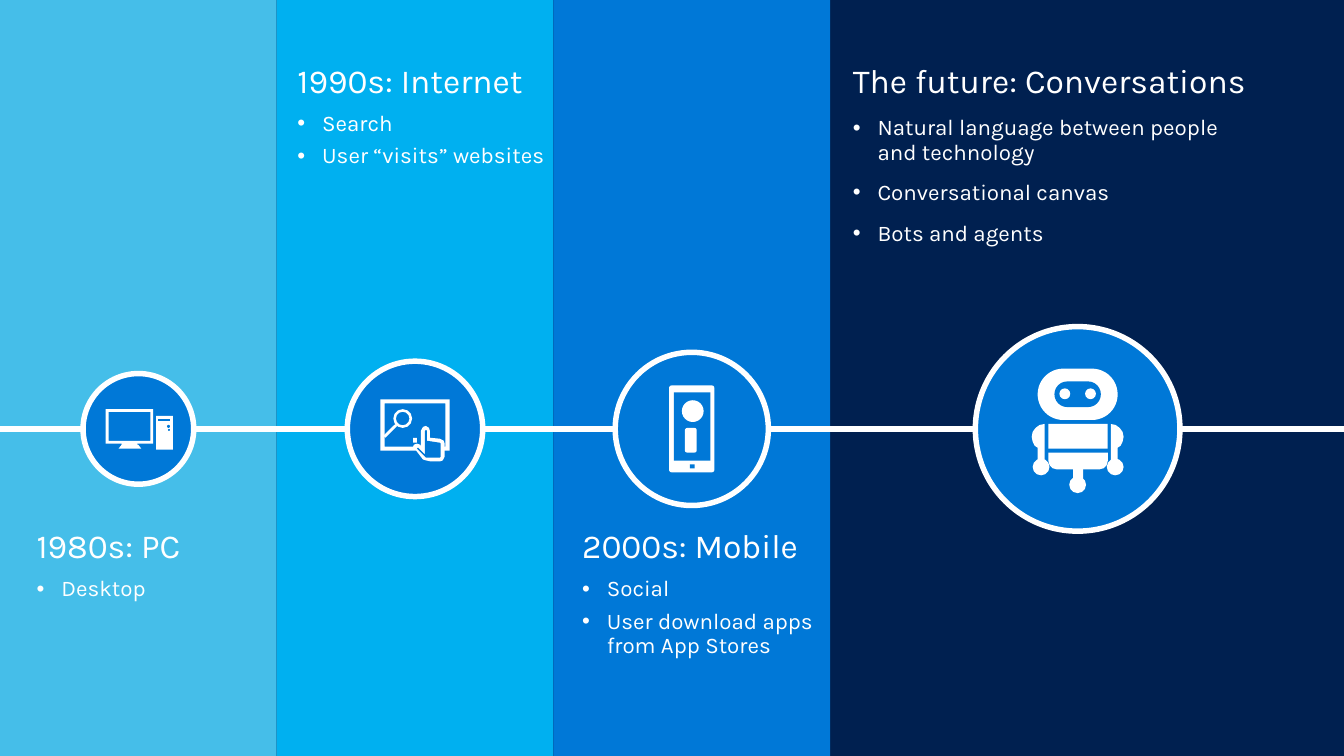
from lxml import etree
from pptx import Presentation
from pptx.dml.color import RGBColor
from pptx.enum.shapes import MSO_CONNECTOR, MSO_SHAPE
from pptx.enum.text import MSO_ANCHOR, MSO_AUTO_SIZE, PP_ALIGN
from pptx.oxml.ns import qn
from pptx.util import Inches, Pt

RECTANGLE, ELLIPSE = MSO_SHAPE.RECTANGLE, MSO_SHAPE.OVAL
ROUNDED, FRAME = MSO_SHAPE.ROUNDED_RECTANGLE, MSO_SHAPE.FRAME
ROUNDED_ENDS, RING = MSO_SHAPE.ROUND_2_SAME_RECTANGLE, MSO_SHAPE.DONUT
TRAPEZOID = MSO_SHAPE.TRAPEZOID
STRAIGHT = MSO_CONNECTOR.STRAIGHT
TOP, NO_AUTOFIT, LEFT = MSO_ANCHOR.TOP, MSO_AUTO_SIZE.NONE, PP_ALIGN.LEFT

THEME = {
    "font": "Karla", "heading": 24.5, "bullet": 16.3, "line": 4,
    "navy": "002050", "blue": "0078D7", "cyan": "00B0F0", "sky": "45BEE9", "white": "FFFFFF",
}
WIDTH, HEIGHT = 13.6, 7.65
PANEL_WIDTH, TIMELINE_Y = 2.8, 4.34
PANEL_COLORS = ["sky", "cyan", "blue"]
COMPARISON_LAYOUT = 4

# Text: placeholder index, box, left and top inset, heading, bullets, (space before, space after)
TITLE = "The future: Conversations"
TEXTS = [
    (0, (8.43, 0.55, 4.77, 0.6), (0.2, 0.1), TITLE, [], (0, 0)),
    (1, (0.25, 5.36, 2.55, 1.6), (0.12, 0), "1980s: PC", ["Desktop"], (0, 6)),
    (2, (2.8, 0.55, 2.76, 3.26), (0.21, 0.1), "1990s: Internet",
     ["Search", "User “visits” websites"], (0, 6)),
    (3, (5.6, 5.36, 2.8, 1.8), (0.29, 0), "2000s: Mobile",
     ["Social", "User download apps from App Stores"], (0, 6)),
    (4, (8.43, 1.18, 4.77, 1.5), (0.2, 0), None,
     ["Natural language between people\vand technology", "Conversational canvas",
      "Bots and agents"], (12, 0)),
]

# Outlines used in the icons
HAND = [(4.18, 4.52), (4.19, 4.5), (4.22, 4.49), (4.25, 4.5), (4.26, 4.52), (4.26, 4.36),
        (4.28, 4.32), (4.31, 4.31), (4.34, 4.33), (4.35, 4.36), (4.35, 4.43), (4.45, 4.44),
        (4.49, 4.46), (4.5, 4.49), (4.5, 4.62), (4.48, 4.66), (4.45, 4.67), (4.36, 4.67),
        (4.31, 4.66), (4.28, 4.65)]
PALM = [(4.3, 4.6), (4.3, 4.36), (4.31, 4.35), (4.32, 4.36), (4.32, 4.46), (4.45, 4.48),
        (4.46, 4.49), (4.46, 4.62), (4.45, 4.63), (4.31, 4.63), (4.22, 4.54), (4.23, 4.53)]
LEFT_ARM = [(10.57, 4.29), (10.52, 4.3), (10.48, 4.33), (10.45, 4.37), (10.44, 4.42),
            (10.45, 4.47), (10.47, 4.51), (10.5, 4.53), (10.5, 4.68), (10.57, 4.68)]
ROBOT_CENTER = 10.905
RIGHT_ARM = [(2 * ROBOT_CENTER - x, y) for x, y in LEFT_ARM]

# Icons: circle center and diameter, then parts as (kind, color, geometry, adjustments)
ICONS = [
    (1.4, 1.12, [
        (FRAME, "white", (1.07, 4.14, 0.48, 0.35), [0.08]),
        (RECTANGLE, "white", (1.23, 4.48, 0.16, 0.03), []),
        (TRAPEZOID, "white", (1.2, 4.5, 0.23, 0.04), [0.8]),
        (RECTANGLE, "white", (1.58, 4.21, 0.17, 0.34), []),
        (RECTANGLE, "blue", (1.6, 4.24, 0.12, 0.02), []),
        (ELLIPSE, "blue", (1.69, 4.3, 0.03, 0.03), []),
        (ELLIPSE, "blue", (1.7, 4.34, 0.02, 0.02), []),
    ]),
    (4.2, 1.37, [
        (FRAME, "white", (3.85, 4.04, 0.7, 0.52), [0.08]),
        (RING, "white", (3.98, 4.14, 0.19, 0.19), [0.14]),
        ("line", "white", (4.01, 4.3, 3.89, 4.42), []),
        (RECTANGLE, "white", (4.18, 4.43, 0.04, 0.05), []),
        ("outline", "white", HAND, []),
        ("outline", "blue", PALM, []),
    ]),
    (7, 1.55, [
        (ROUNDED, "white", (6.77, 3.9, 0.46, 0.88), [0.06]),
        (RECTANGLE, "blue", (6.82, 3.97, 0.37, 0.69), []),
        (ELLIPSE, "white", (6.9, 4.05, 0.22, 0.22), []),
        (ROUNDED, "white", (6.93, 4.33, 0.12, 0.25), [0.2]),
        (RECTANGLE, "blue", (6.98, 4.7, 0.05, 0.04), []),
    ]),
    (ROBOT_CENTER, 2.07, [
        (ROUNDED, "white", (10.5, 3.73, 0.81, 0.52), [0.5]),
        (ROUNDED, "blue", (10.67, 3.86, 0.47, 0.26), [0.5]),
        (ELLIPSE, "white", (10.72, 3.93, 0.11, 0.11), []),
        (ELLIPSE, "white", (10.98, 3.93, 0.11, 0.11), []),
        (RECTANGLE, "white", (10.61, 4.29, 0.6, 0.25), []),
        (ROUNDED_ENDS, "white", (10.61, 4.58, 0.6, 0.17), [0, 0.5]),
        (RECTANGLE, "white", (10.86, 4.74, 0.1, 0.12), []),
        (ELLIPSE, "white", (10.82, 4.82, 0.17, 0.17), []),
        ("outline", "white", LEFT_ARM, []),
        ("outline", "white", RIGHT_ARM, []),
        (ELLIPSE, "white", (10.45, 4.64, 0.17, 0.17), []),
        (ELLIPSE, "white", (11.2, 4.64, 0.17, 0.17), []),
    ]),
]


def color(name):
    return RGBColor.from_string(THEME[name])


def paint(shape, fill, line=None):
    shape.shadow.inherit = False
    shape.fill.solid()
    shape.fill.fore_color.rgb = color(fill)
    if line:
        shape.line.color.rgb = color(line)
        shape.line.width = Pt(THEME["line"])
    else:
        shape.line.fill.background()


def add_preset(shapes, kind, fill, box, adjustments=(), line=None):
    shape = shapes.add_shape(kind, *map(Inches, box))
    for index, value in enumerate(adjustments):
        shape.adjustments[index] = value
    paint(shape, fill, line)


def add_outline(shapes, fill, points):
    corners = [(Inches(x), Inches(y)) for x, y in points]
    builder = shapes.build_freeform(*corners[0])
    builder.add_line_segments(corners[1:], close=True)
    paint(builder.convert_to_shape(), fill)


def add_line(shapes, name, ends, width):
    connector = shapes.add_connector(STRAIGHT, *map(Inches, ends))
    connector.line.color.rgb = color(name)
    connector.line.width = Pt(width)
    etree.SubElement(connector.element.spPr, qn("a:effectLst"))


def add_icon(slide, center, diameter, parts):
    shapes = slide.shapes.add_group_shape().shapes
    circle = (center - diameter / 2, TIMELINE_Y - diameter / 2, diameter, diameter)
    add_preset(shapes, ELLIPSE, "blue", circle, line="white")
    for kind, name, geometry, adjustments in parts:
        if kind == "outline":
            add_outline(shapes, name, geometry)
        elif kind == "line":
            add_line(shapes, name, geometry, 2)
        else:
            add_preset(shapes, kind, name, geometry, adjustments)


def format_paragraph(paragraph, size, before, after, bulleted):
    paragraph.level = 1 if bulleted else 0
    properties = paragraph._p.get_or_add_pPr()
    properties.set("marL", str(Inches(0.25 if bulleted else 0)))
    properties.set("indent", str(Inches(-0.25 if bulleted else 0)))
    if bulleted:
        etree.SubElement(properties, qn("a:buChar")).set("char", "•")
    else:
        etree.SubElement(properties, qn("a:buNone"))
    paragraph.alignment = LEFT
    paragraph.line_spacing = 0.9
    paragraph.space_before, paragraph.space_after = Pt(before), Pt(after)
    for run in paragraph.runs:
        run.font.name, run.font.size, run.font.bold = THEME["font"], Pt(size), False
        run.font.color.rgb = color("white")


def fill_placeholder(placeholder, box, insets, heading, bullets, spacing):
    placeholder.left, placeholder.top, placeholder.width, placeholder.height = map(Inches, box)
    frame = placeholder.text_frame
    frame.word_wrap, frame.auto_size, frame.vertical_anchor = True, NO_AUTOFIT, TOP
    frame.margin_left, frame.margin_top = map(Inches, insets)
    frame.margin_right = frame.margin_bottom = 0
    lines = ([heading] if heading else []) + bullets
    for index, line in enumerate(lines):
        paragraph = frame.add_paragraph() if index else frame.paragraphs[0]
        paragraph.text = line
        if line == heading:
            format_paragraph(paragraph, THEME["heading"], 0, 8.5 if bullets else 0, False)
        else:
            before, after = spacing
            format_paragraph(paragraph, THEME["bullet"], before if index else 0, after, True)


def main():
    presentation = Presentation()
    presentation.slide_width, presentation.slide_height = Inches(WIDTH), Inches(HEIGHT)
    slide = presentation.slides.add_slide(presentation.slide_layouts[COMPARISON_LAYOUT])
    slide.background.fill.solid()
    slide.background.fill.fore_color.rgb = color("navy")

    # Era panels
    for index, name in enumerate(PANEL_COLORS):
        add_preset(slide.shapes, RECTANGLE, name, (index * PANEL_WIDTH, 0, PANEL_WIDTH, HEIGHT))

    # Era texts, raised above the panels
    placeholders = {item.placeholder_format.idx: item for item in slide.placeholders}
    for index, *content in TEXTS:
        fill_placeholder(placeholders[index], *content)
        element = placeholders[index].element
        element.getparent().append(element)

    # Timeline and its icons
    add_line(slide.shapes, "white", (0, TIMELINE_Y, WIDTH, TIMELINE_Y), THEME["line"])
    for icon in ICONS:
        add_icon(slide, *icon)

    presentation.save("out.pptx")


if __name__ == "__main__":
    main()
